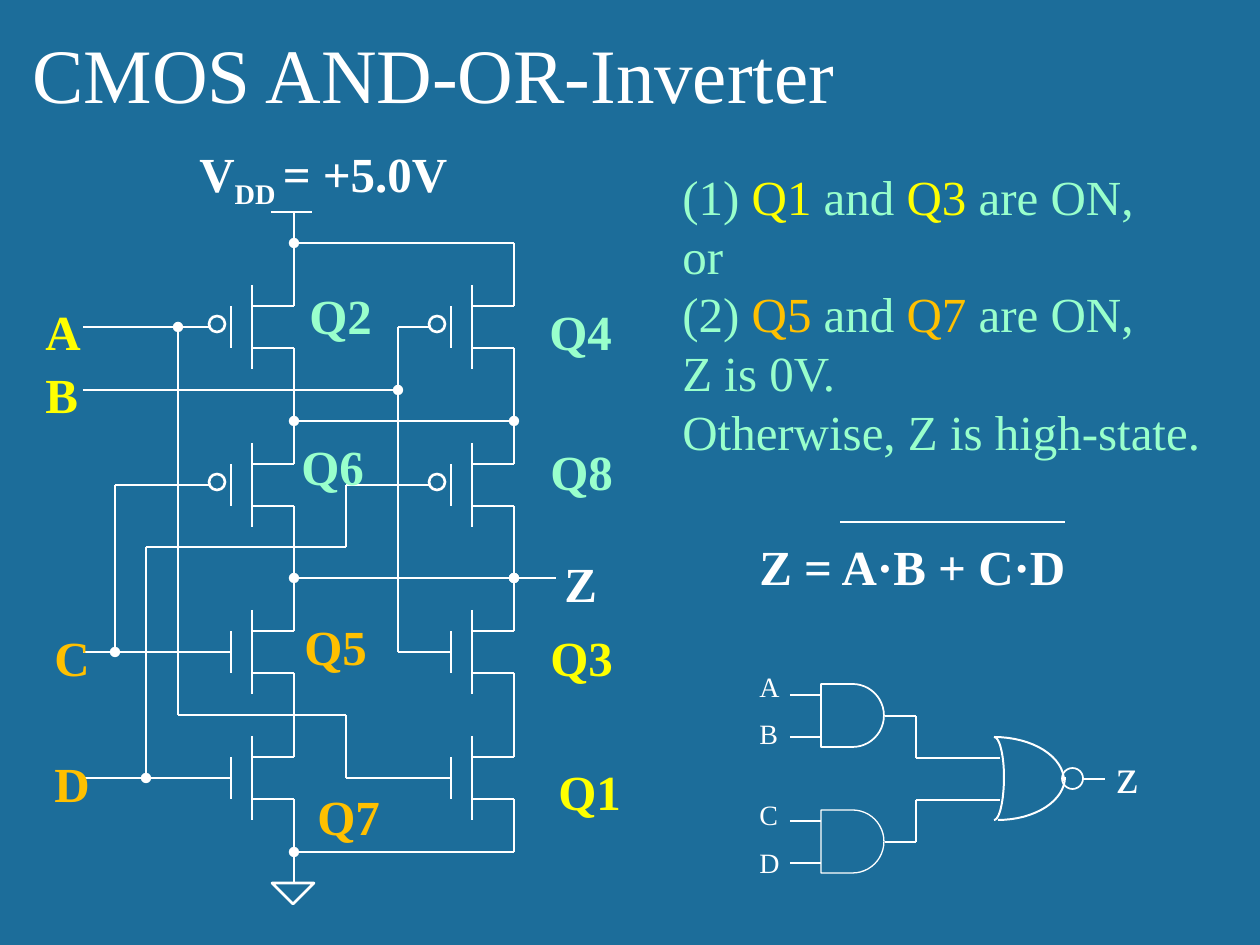
import math
from lxml import etree
from pptx import Presentation
from pptx import util as u
from pptx.dml.color import RGBColor
from pptx.enum import shapes, text
from pptx.oxml import ns

BLUE = RGBColor(0x1C, 0x6D, 0x9A)
WHITE = RGBColor(0xFF, 0xFF, 0xFF)
YELLOW = RGBColor(0xFF, 0xFF, 0x00)
AMBER = RGBColor(0xFF, 0xC0, 0x00)
MINT = RGBColor(0x99, 0xFF, 0xCC)
SCALE = 914400 / 126  # EMU in one px


def px(n):
    return u.Emu(round(n * SCALE))


class Sheet:
    font = "Times New Roman"
    size = 28
    color = WHITE

    def __init__(self, slide):
        self.slide = slide
        self.items = slide.shapes
        slide.background.fill.solid()
        slide.background.fill.fore_color.rgb = BLUE

    def pen(self, item, width):
        item.line.color.rgb = self.color
        item.line.width = u.Pt(width)

    def wire(self, x1, y1, x2, y2, dots="", width=1.5):
        """Dots holds 'h' for a dot at the start and 't' for one at the end."""
        line = self.items.add_connector(
            shapes.MSO_CONNECTOR.STRAIGHT, px(x1), px(y1), px(x2), px(y2))
        self.pen(line, width)
        for key, tag in (("h", "a:headEnd"), ("t", "a:tailEnd")):
            if key in dots:
                end = etree.SubElement(line.line._get_or_add_ln(), ns.qn(tag))
                end.set("type", "oval")
        etree.SubElement(line._element.spPr, ns.qn("a:effectLst"))

    def shape(self, kind, x, y, w, h, width=1.5):
        item = self.items.add_shape(kind, px(x), px(y), px(w), px(h))
        item.shadow.inherit = False
        item.fill.background()
        self.pen(item, width)
        return item

    def arc(self, x, y, rx, ry, start, steps=16):
        """Draw a quarter of an ellipse about (x, y), from start degrees."""
        turns = [math.radians(start + 90 * i / steps) for i in range(steps + 1)]
        pts = [(px(x + rx * math.cos(t)), px(y + ry * math.sin(t)))
               for t in turns]
        path = self.items.build_freeform(*pts[0])
        path.add_line_segments(pts[1:], close=False)
        item = path.convert_to_shape()
        item.shadow.inherit = False
        item.fill.background()
        self.pen(item, 1.13)

    def words(self, x, y, w, h, paras, size=None, bold=False, wrap=True,
              anchor=text.MSO_ANCHOR.TOP, gaps=()):
        """Each paragraph is a list of (text, color) or (text, color, shift)."""
        frame = self.items.add_textbox(px(x), px(y), px(w), px(h)).text_frame
        frame.word_wrap = wrap
        frame.auto_size = text.MSO_AUTO_SIZE.SHAPE_TO_FIT_TEXT
        frame.vertical_anchor = anchor
        for i, runs in enumerate(paras):
            para = frame.paragraphs[0] if i == 0 else frame.add_paragraph()
            if i and gaps:
                para.space_before = u.Pt(gaps[i - 1])
            for words, color, *shift in runs:
                run = para.add_run()
                run.text = words
                run.font.name = self.font
                run.font.size = u.Pt(size or self.size)
                run.font.bold = bold
                run.font.color.rgb = color
                if shift:
                    run.font._element.set("baseline", str(shift[0] * 1000))

    def label(self, name, color, x, y, w=62):
        self.words(x, y, w, 72, [[(name, color)]], bold=True, wrap=False)

    def fet(self, x, y, pmos):
        """Draw a transistor with its drain and source on x, centred on y."""
        self.wire(x - 63, y - 21, x - 63, y + 21)
        self.wire(x - 42, y - 42, x - 42, y + 42)
        for end in (y - 21, y + 21):
            self.wire(x - 42, end, x, end)
        if pmos:
            self.shape(shapes.MSO_SHAPE.OVAL, x - 85, y - 11, 16, 16)


def main():
    deck = Presentation()
    deck.slide_width, deck.slide_height = px(1260), px(945)
    sheet = Sheet(deck.slides.add_slide(deck.slide_layouts[6]))

    # Title
    sheet.words(20, 20, 1071, 105, [[("CMOS AND-OR-Inverter", WHITE)]],
                size=44, anchor=text.MSO_ANCHOR.BOTTOM)

    # Transistors, with the wires that join them down each column
    left, right = 294, 514
    rows = (327, 485, 652, 778)
    for x in (left, right):
        for i, y in enumerate(rows):
            sheet.fet(x, y, pmos=i < 2)
        for top, low in zip(rows, rows[1:]):
            sheet.wire(x, top + 21, x, low - 21)

    # Supply, ground and output
    for wire in (
        (271, 212, 312, 212), (left, 306, left, 212), (right, 306, right, 243),
        (left, 243, right, 243, "h"), (left, 421, right, 421, "ht"),
        (left, 578, right, 578, "ht"), (right, 578, 556, 578, "h"),
        (left, 883, left, 799), (right, 852, right, 799),
        (left, 852, right, 852, "h"),
    ):
        sheet.wire(*wire)
    ground = sheet.shape(shapes.MSO_SHAPE.ISOSCELES_TRIANGLE, 272, 883, 42, 21)
    ground.rotation = 180

    # Inputs A, B, C and D
    for wire in (
        (209, 327, 83, 327), (178, 327, 178, 715, "h"), (346, 715, 178, 715),
        (346, 715, 346, 778), (451, 778, 346, 778),
        (83, 390, 398, 390, "t"), (398, 327, 398, 652), (430, 327, 398, 327),
        (398, 652, 451, 652),
        (231, 652, 83, 652), (115, 485, 115, 652, "t"), (209, 485, 115, 485),
        (231, 778, 83, 778), (146, 547, 146, 778, "t"), (146, 547, 346, 547),
        (346, 547, 346, 485), (430, 485, 346, 485),
    ):
        sheet.wire(*wire)

    # Circuit labels
    sheet.words(187, 137, 284, 72, [[
        ("V", WHITE), ("DD ", WHITE, -25), ("= +5.0V", WHITE)]],
        bold=True, wrap=False)
    for name, color, x, y in (
        ("A", YELLOW, 33, 295), ("B", YELLOW, 33, 358), ("C", AMBER, 42, 621),
        ("D", AMBER, 42, 747), ("Z", WHITE, 552, 547),
    ):
        sheet.label(name, color, x, y, 60)
    for name, color, x, y in (
        ("Q1", YELLOW, 546, 755), ("Q2", MINT, 297, 279),
        ("Q3", YELLOW, 538, 621), ("Q4", MINT, 537, 295),
        ("Q5", AMBER, 292, 610), ("Q6", MINT, 289, 430),
        ("Q7", AMBER, 305, 780), ("Q8", MINT, 538, 435),
    ):
        sheet.label(name, color, x, y, 88)

    # Explanation
    sheet.words(670, 160, 573, 310, [
        [("(1) ", MINT), ("Q1 ", YELLOW), ("and ", MINT), ("Q3 ", YELLOW),
         ("are ON,", MINT)],
        [("or", MINT)],
        [("(2) ", MINT), ("Q5 ", AMBER), ("and ", MINT), ("Q7", AMBER),
         (" are ON,", MINT)],
        [("Z is 0V.", MINT)],
        [("Otherwise, Z is high-state.", MINT)],
    ])

    # Equation with its overline
    sheet.words(747, 530, 377, 72, [[("Z = A·B + C·D", WHITE)]], bold=True)
    sheet.wire(1065, 522, 840, 522)

    # AND gates
    for y, width in ((716, 1), (842, 0.75)):
        sheet.shape(shapes.MSO_SHAPE.FLOWCHART_DELAY, 821, y - 32, 63, 63, width)
        for pin in (y - 21, y + 21):
            sheet.wire(790, pin, 821, pin, width=1)
        sheet.wire(885, y, 916, y, width=1)

    # NOR gate and its wires
    for x, y, rx, ry, start in (
        (994, 777, 10, 40, 270), (994, 781, 70, 44, 270),
        (998, 777, 67, 43, 0), (994, 777, 10, 43, 0),
    ):
        sheet.arc(x, y, rx, ry, start)
    sheet.shape(shapes.MSO_SHAPE.OVAL, 1062, 768, 21, 21, 1)
    for gate, pin in ((716, 758), (842, 800)):
        sheet.wire(916, gate, 916, pin, width=1)
        sheet.wire(916, pin, 1000, pin, width=1)
    sheet.wire(1083, 779, 1105, 779, width=1)

    # Gate labels
    sheet.words(747, 663, 84, 286, [[(name, WHITE)] for name in "ABCD"],
                size=16, gaps=(8, 27, 8))
    sheet.words(1104, 738, 42, 72, [[("z", WHITE)]])

    deck.save("out.pptx")


if __name__ == "__main__":
    main()
